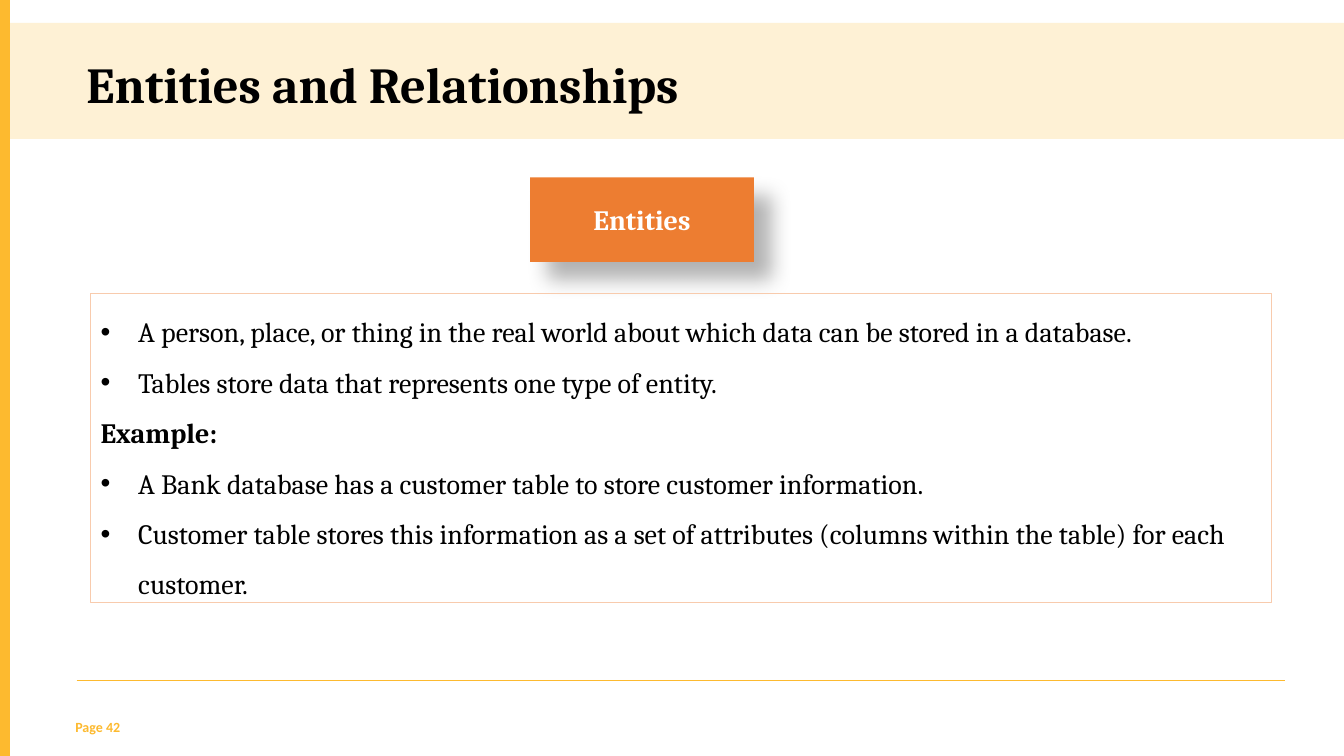
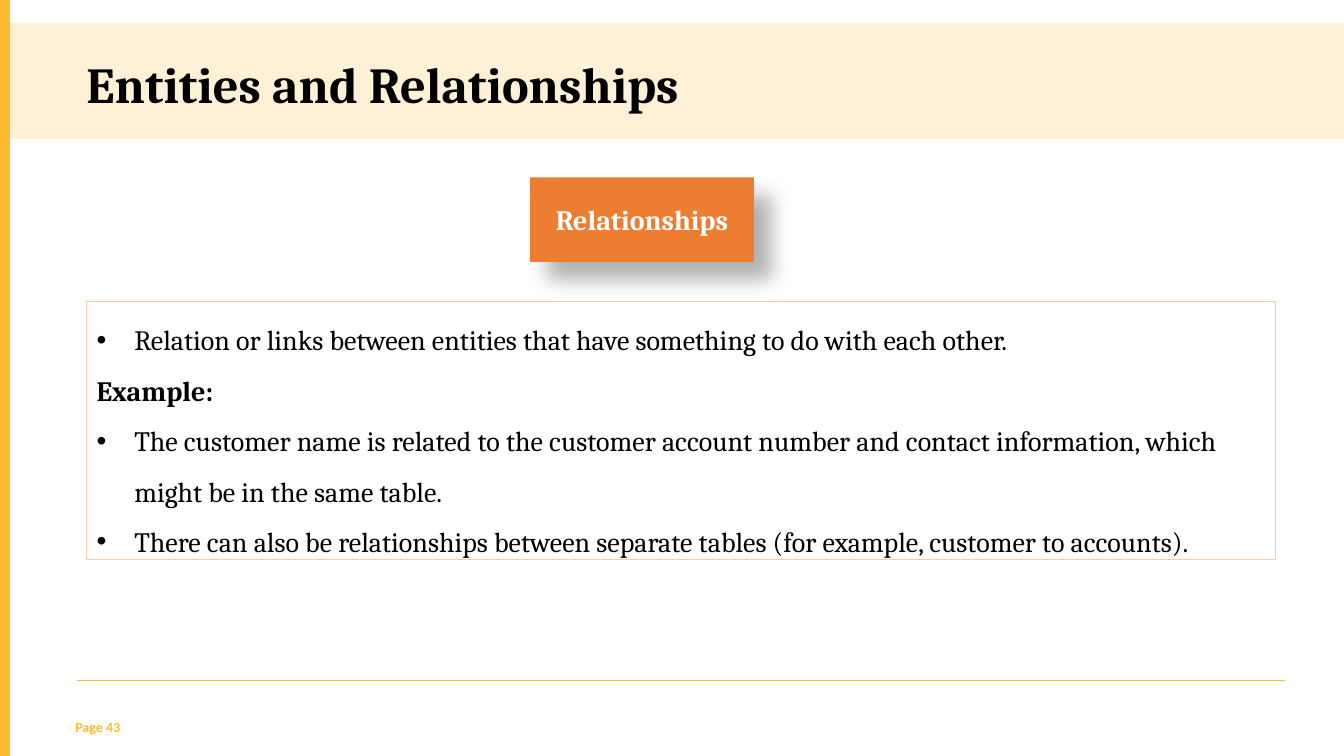
from pptx import Presentation
from pptx.dml.color import RGBColor
from pptx.enum.shapes import MSO_CONNECTOR, MSO_SHAPE
from pptx.enum.text import MSO_ANCHOR, MSO_AUTO_SIZE, PP_ALIGN
from pptx.oxml.ns import qn
from pptx.util import Cm, Pt
from lxml.etree import SubElement

WIDE, HIGH = 33.87, 19.05
GOLD, ORANGE, PEACH = "FDBA2F", "ED7D31", "F8CBAD"
BLACK, WHITE = "000000", "FFFFFF"
SERIF, SANS = "Cambria", "Calibri"
MID = 17.17  # centre of the text panels
TAG = (13.36, 4.47, 5.64, 2.13)
HEAD = "Example:"

# Heading, page, panel top, width and height, lines
PAGES = [
    ("Entities", 42, 7.39, 29.77, 7.8, [
        "A person, place, or thing in the real world about which data can be stored in a database.",
        "Tables store data that represents one type of entity.",
        HEAD,
        "A Bank database has a customer table to store customer information.",
        "Customer table stores this information as a set of attributes "
        "(columns within the table) for each customer.",
    ]),
    ("Relationships", 43, 7.59, 29.97, 6.5, [
        "Relation or links between entities that have something to do with each other.",
        HEAD,
        "The customer name is related to the customer account number and contact information, "
        "which might be in the same table.",
        "There can also be relationships between separate tables "
        "(for example, customer to accounts).",
    ]),
]


def color(code):
    return RGBColor.from_string(code)


def style(para, size, code, bold=True, face=SERIF):
    font = para.font
    font.name, font.size, font.bold = face, Pt(size), bold
    font.color.rgb = color(code)


def block(slide, box, code, alpha=None):
    shape = slide.shapes.add_shape(MSO_SHAPE.RECTANGLE, *map(Cm, box))
    shape.shadow.inherit = False
    shape.fill.solid()
    shape.fill.fore_color.rgb = color(code)
    shape.line.fill.background()
    if alpha:
        fill = shape._element.spPr.find(qn("a:solidFill"))
        SubElement(fill[0], qn("a:alpha"), val=str(alpha * 1000))
    return shape


def label(slide, box, text, size, code, face=SERIF):
    shape = slide.shapes.add_textbox(*map(Cm, box))
    frame = shape.text_frame
    frame.word_wrap = True
    para = frame.paragraphs[0]
    para.text = text
    style(para, size, code, face=face)
    return para


def base(slide, page):
    # Title band and side strip
    block(slide, (0, 0.58, WIDE, 2.92), GOLD, 20)
    block(slide, (0, 0, 0.25, HIGH), GOLD)
    label(slide, (1.93, 1.22, 20.78, 1.8), "Entities and Relationships", 36, BLACK)
    # Footer
    para = label(slide, (1.65, 17.98, 2.01, 0.33), f"Page {page}", 10, GOLD, SANS)
    para.space_after = Pt(6)
    rule = slide.shapes.add_connector(
        MSO_CONNECTOR.STRAIGHT, Cm(1.93), Cm(17.15), Cm(32.39), Cm(17.15))
    rule.line.color.rgb = color(GOLD)
    rule.line.width = Pt(0.5)
    SubElement(rule._element.spPr, qn("a:effectLst"))


def tag(slide, box, text):
    shape = block(slide, box, ORANGE)
    # Soft shadow, down and to the right
    effect = shape._element.spPr.find(qn("a:effectLst"))
    glow = SubElement(effect, qn("a:outerShdw"), blurRad=str(Pt(15)), dist=str(Pt(18)),
                      dir=str(45 * 60000), algn="tl", rotWithShape="0")
    tint = SubElement(glow, qn("a:srgbClr"), val=BLACK)
    SubElement(tint, qn("a:alpha"), val="30000")
    frame = shape.text_frame
    frame.vertical_anchor = MSO_ANCHOR.MIDDLE
    para = frame.paragraphs[0]
    para.text = text
    para.alignment = PP_ALIGN.CENTER
    style(para, 20, WHITE)


def bullet(para):
    props = para._p.get_or_add_pPr()
    props.set("marL", str(Cm(0.95)))
    props.set("indent", str(-Cm(0.95)))
    SubElement(props, qn("a:buFont"), typeface="Arial")
    SubElement(props, qn("a:buChar"), char="•")


def panel(slide, box, lines):
    shape = slide.shapes.add_textbox(*map(Cm, box))
    shape.line.color.rgb = color(PEACH)
    shape.line.width = Pt(0.75)
    frame = shape.text_frame
    frame.word_wrap = True
    frame.auto_size = MSO_AUTO_SIZE.SHAPE_TO_FIT_TEXT
    for i, text in enumerate(lines):
        para = frame.add_paragraph() if i else frame.paragraphs[0]
        para.text = text
        para.line_spacing = 1.5
        if text != HEAD:
            bullet(para)
        style(para, 20, BLACK, text == HEAD)


def main():
    deck = Presentation()
    deck.slide_width, deck.slide_height = Cm(WIDE), Cm(HIGH)
    for name, page, top, width, height, lines in PAGES:
        slide = deck.slides.add_slide(deck.slide_layouts[6])
        base(slide, page)
        tag(slide, TAG, name)
        panel(slide, (MID - width / 2, top, width, height), lines)
    deck.save("out.pptx")


if __name__ == "__main__":
    main()
